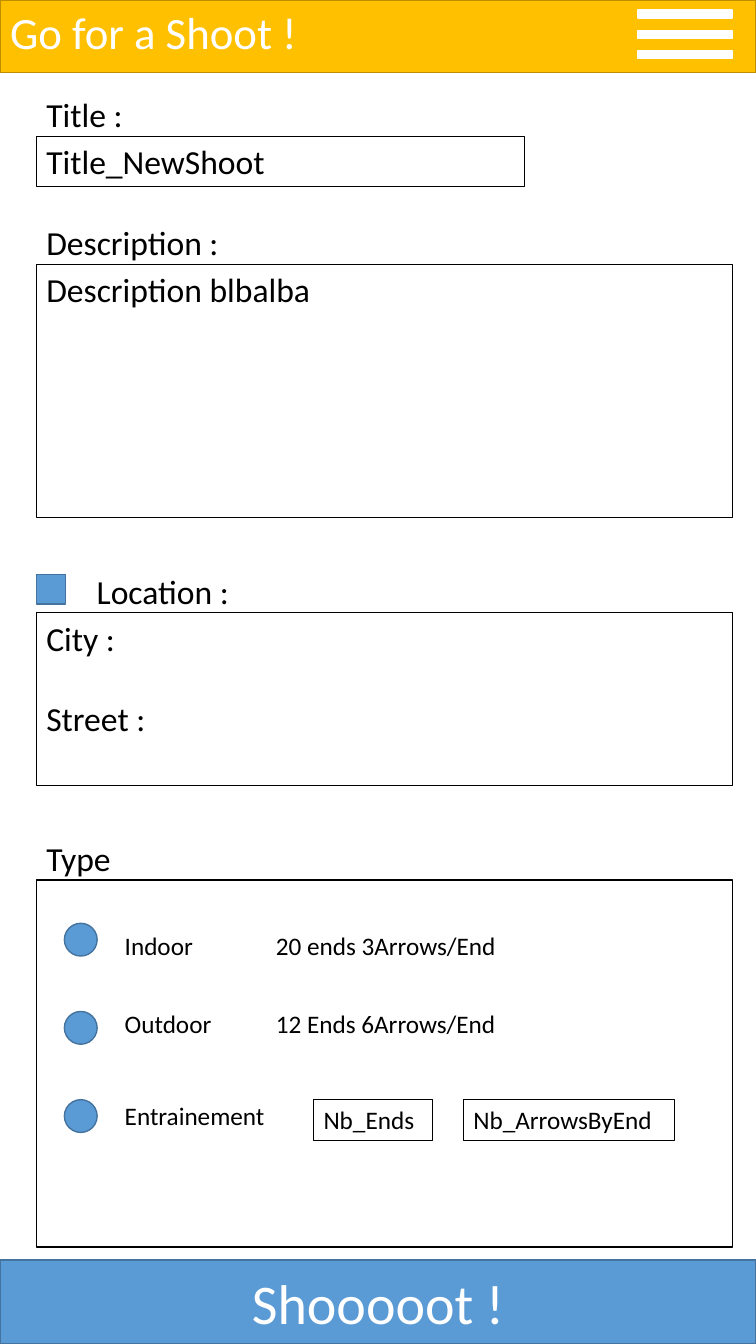
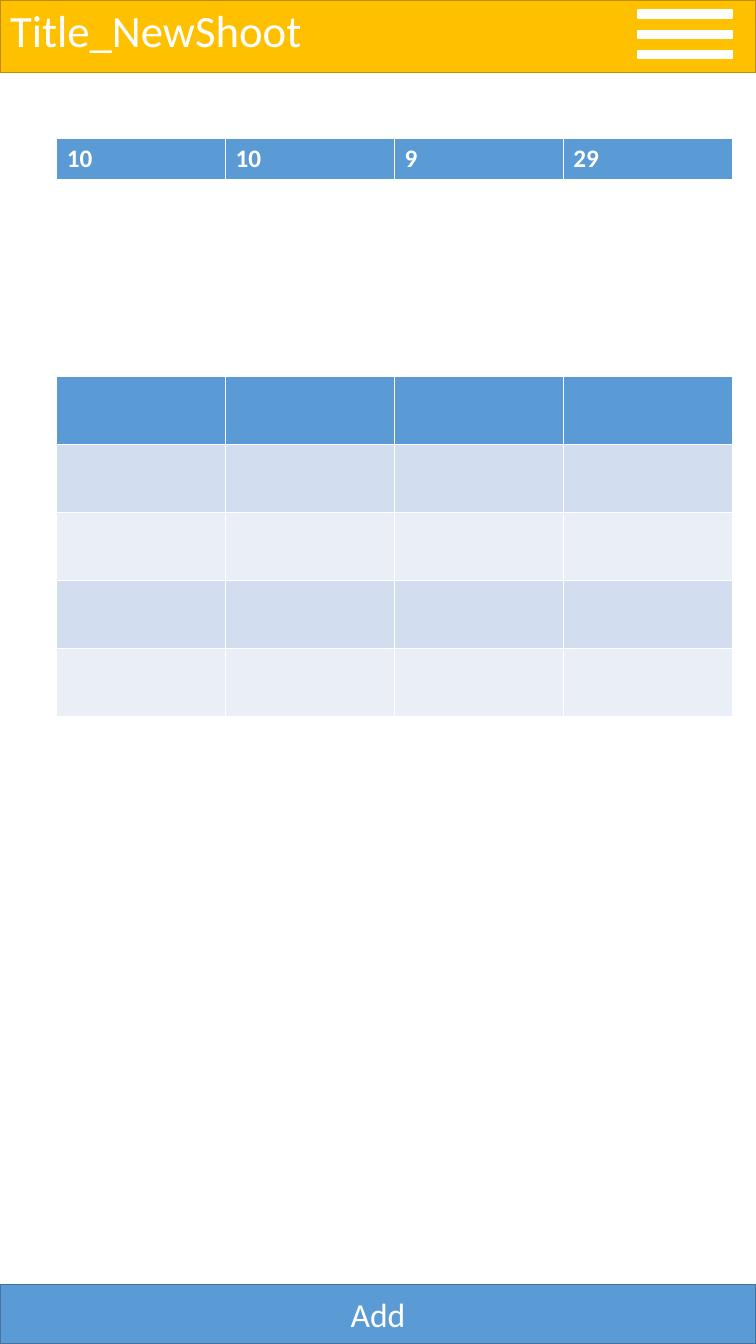
import pptx
import pptx.util
import pptx.dml.color
import pptx.enum.shapes
import pptx.enum.text
import pptx.oxml.ns
import lxml.etree

Pt = pptx.util.Pt
SHAPE = pptx.enum.shapes.MSO_SHAPE
ALIGN = pptx.enum.text.PP_ALIGN
ANCHOR = pptx.enum.text.MSO_ANCHOR
FONT = "Calibri"
WIDE, HIGH = 540, 960
GOLD, BROWN, BLUE, NAVY = "FFC000", "BD8E00", "5B9BD5", "43739E"
WHITE, BLACK = "FFFFFF", "000000"
BANDS = ["D2DEEF", "EAEFF7"]
EDGE, FULL = 26, 497.4  # left edge and full width of the form

# Content: label, lines of text, top, width, height, line width
FIELDS = [
    ("Title :", ["Title_NewShoot"], 97.2, 348.5, 36, 0.75),
    ("Description :", ["Description blbalba"], 188.6, FULL, 181.4, 0.75),
    ("\tLocation :", ["City :", "Street :"], 437.6, FULL, 123.8, 0.75),
    ("Type", [], 628.6, FULL, 262, 1),
]
# Text of each choice and its top
TYPES = [
    ("Indoor\t\t20 ends 3Arrows/End", 661),
    ("Outdoor\t\t12 Ends 6Arrows/End", 716.4),
    ("Entrainement", 782.6),
]
COUNTS = [("Nb_Ends", 224, 85), ("Nb_ArrowsByEnd", 331, 150.5)]
SCORES = [["10", "10", "9", "29"]]
ROUNDS = [[""] * 4 for _ in range(5)]


def tint(code):
    return pptx.dml.color.RGBColor.from_string(code)


def style(frame, size, color, align=ALIGN.LEFT, anchor=ANCHOR.TOP):
    frame.vertical_anchor = anchor
    for para in frame.paragraphs:
        para.alignment = align
        for run in para.runs:
            run.font.size = Pt(size)
            run.font.name = FONT
            run.font.color.rgb = tint(color)


def shape(slide, kind, x, y, w, h, fill=None, line=BLACK, width=1):
    item = slide.shapes.add_shape(kind, Pt(x), Pt(y), Pt(w), Pt(h))
    item.shadow.inherit = False
    if fill:
        item.fill.solid()
        item.fill.fore_color.rgb = tint(fill)
    else:
        item.fill.background()
    item.line.color.rgb = tint(line)
    item.line.width = Pt(width)
    return item


def stops(para, places):
    qn = pptx.oxml.ns.qn
    tabs = lxml.etree.SubElement(para._p.get_or_add_pPr(), qn("a:tabLst"))
    for place in places:
        lxml.etree.SubElement(tabs, qn("a:tab"), pos=str(Pt(place)), algn="l")


def label(slide, text, x, y, w, h, size):
    frame = slide.shapes.add_textbox(Pt(x), Pt(y), Pt(w), Pt(h)).text_frame
    frame.word_wrap = True
    frame.text = text
    style(frame, size, BLACK)
    if "\t" in text:
        stops(frame.paragraphs[0], [36, 72, 108])


def field(slide, lines, x, y, w, h, size, width=0.75):
    frame = shape(slide, SHAPE.RECTANGLE, x, y, w, h, width=width).text_frame
    frame.text = "\n".join(lines)
    style(frame, size, BLACK)
    for para in frame.paragraphs[1:]:
        para.space_before = Pt(28.8)


def page(deck, title, top, button, height, size):
    slide = deck.slides.add_slide(deck.slide_layouts[5])
    # Header band with menu bars
    shape(slide, SHAPE.RECTANGLE, 0, 0, WIDE, 51.8, GOLD, BROWN)
    for i in range(3):
        shape(slide, SHAPE.RECTANGLE, 455.8, 7.2 + 14.4 * i, 67, 5.8, WHITE, WHITE)
    # Title, brought in front of the band
    head = slide.shapes.title
    head.left, head.top, head.width, head.height = Pt(0), Pt(top), Pt(347), Pt(46)
    head.text_frame.text = title
    head.text_frame.auto_size = pptx.enum.text.MSO_AUTO_SIZE.NONE
    style(head.text_frame, 32, WHITE)
    slide.shapes._spTree.append(head._element)
    # Button along the bottom
    foot = shape(slide, SHAPE.RECTANGLE, 0, HIGH - height, WIDE, height, BLUE, NAVY)
    foot.text_frame.text = button
    style(foot.text_frame, size, WHITE, ALIGN.CENTER, ANCHOR.MIDDLE)
    return slide


def grid(slide, rows, y, step):
    wide = 482.6
    table = slide.shapes.add_table(
        len(rows), len(rows[0]), Pt(40.5), Pt(y), Pt(wide), Pt(step * len(rows))).table
    for r, row in enumerate(rows):
        for c, text in enumerate(row):
            cell = table.cell(r, c)
            cell.fill.solid()
            cell.fill.fore_color.rgb = tint(BANDS[(r - 1) % 2] if r else BLUE)
            if text:
                cell.text = text
                style(cell.text_frame, 18, WHITE)
                cell.text_frame.paragraphs[0].runs[0].font.bold = True


def main():
    deck = pptx.Presentation()
    deck.slide_width, deck.slide_height = Pt(WIDE), Pt(HIGH)

    # Form for a new shoot
    form = page(deck, "Go for a Shoot !", 0, "Shooooot !", 60, 40)
    for name, lines, y, w, h, width in FIELDS:
        label(form, name, EDGE, y - 33.6, 348.5, 36, 24)
        field(form, lines, EDGE, y, w, h, 24, width)
    shape(form, SHAPE.RECTANGLE, EDGE, 410.4, 21, 21, BLUE, NAVY)
    for i, (text, y) in enumerate(TYPES):
        shape(form, SHAPE.OVAL, 46, 659.5 + 63 * i, 23.4, 23.4, BLUE, NAVY)
        label(form, text, 82, y, 400, 29, 18)
    for text, x, w in COUNTS:
        field(form, [text], x, 785.5, w, 29, 18)

    # Score sheet
    sheet = page(deck, "Title_NewShoot", -1.4, "Add", 42.6, 24)
    grid(sheet, SCORES, 99.2, 29.2)
    grid(sheet, ROUNDS, 268.8, 48.6)

    deck.save("out.pptx")


if __name__ == "__main__":
    main()
